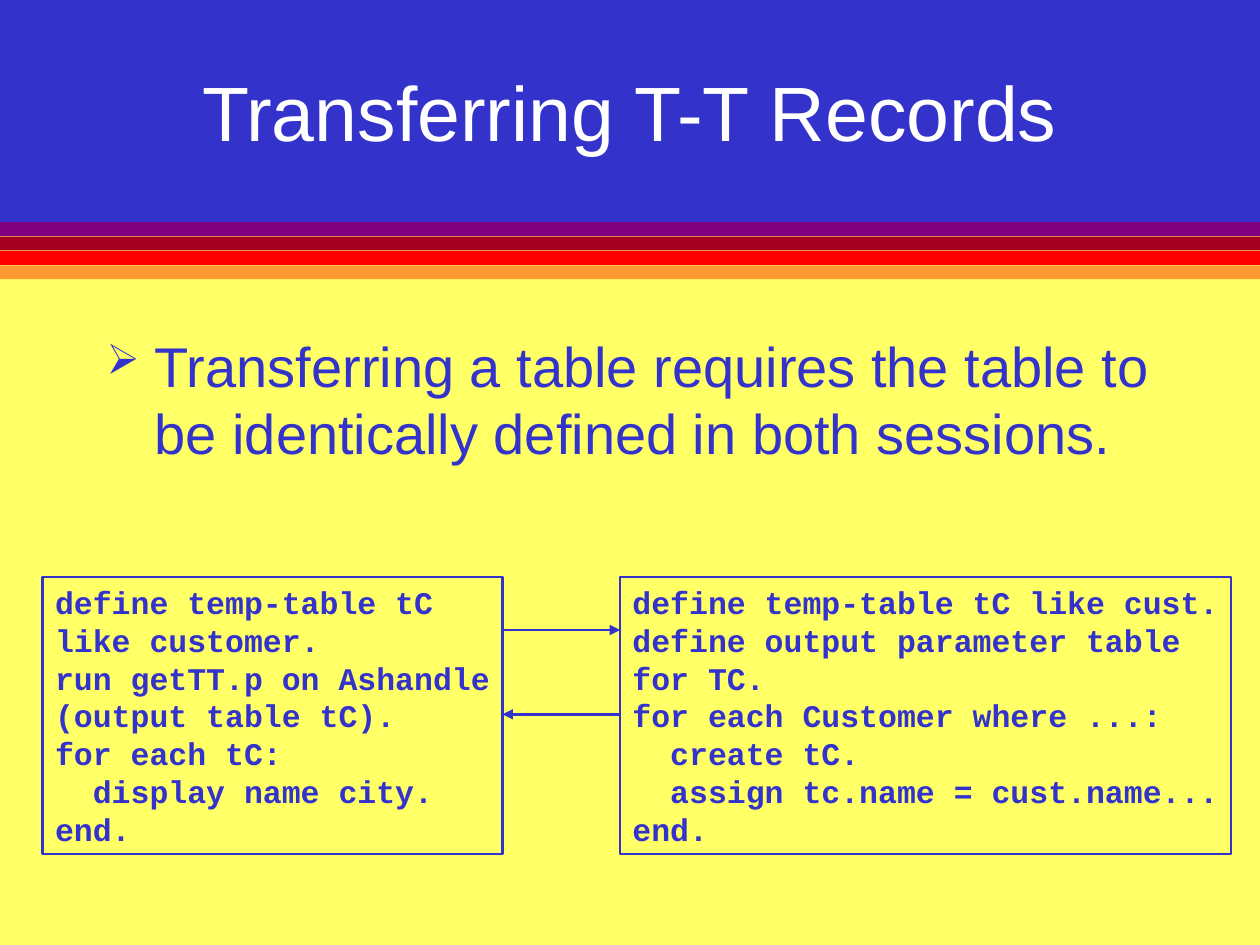
from lxml.etree import SubElement as Sub
from pptx import Presentation
from pptx.dml.color import RGBColor as RGB
from pptx.enum.shapes import MSO_CONNECTOR as Conn, MSO_SHAPE as Shape
from pptx.enum.text import MSO_ANCHOR as Anchor, MSO_AUTO_SIZE as Fit, PP_ALIGN as Align
from pptx.oxml.ns import qn
from pptx.util import Cm, Pt

BLUE = RGB(0x33, 0x33, 0xCC)
YELLOW = RGB(0xFF, 0xFF, 0x66)
ORANGE = RGB(0xFF, 0x99, 0x33)
PURPLE = RGB(0x80, 0x00, 0x80)
MAROON = RGB(0xA5, 0x00, 0x21)
RED = RGB(0xFF, 0x00, 0x00)
WHITE = RGB(0xFF, 0xFF, 0xFF)

# Content
TITLE = "Transferring T-T Records"
POINT = "Transferring a table requires the table to be identically defined in both sessions."
CALLER = [
    "define temp-table tC",
    "like customer.",
    "run getTT.p on Ashandle",
    "(output table tC).",
    "for each tC:",
    "  display name city.",
    "end.",
]
SERVER = [
    "define temp-table tC like cust.",
    "define output parameter table",
    "for TC.",
    "for each Customer where ...:",
    "  create tC.",
    "  assign tc.name = cust.name...",
    "end.",
]

# Layout in centimetres
WIDE, HIGH = 25.4, 19.05
HEAD, BAND = 4.48, 0.28
STRIPES = [PURPLE, MAROON, RED, ORANGE]
BANDS = [(3.81, HIGH - 3.81, YELLOW), (18.19, HIGH - 18.19, YELLOW), (0, HEAD, BLUE)]
BANDS += [(HEAD + i * 0.29, BAND, tint) for i, tint in enumerate(STRIPES)]
CODES = [(0.86, 9.27, CALLER), (12.5, 12.32, SERVER)]
CODE_TOP, CODE_HIGH = 11.63, 5.59
LEFT_END, RIGHT_END = 0.86 + 9.27, 12.5
ARROWS = [(LEFT_END, RIGHT_END, 12.7), (RIGHT_END, LEFT_END, 14.4)]

# Text formats
HEAD_FONT = {"name": "Arial", "size": Pt(44), "bold": False}
BODY_FONT = {"name": "Arial", "size": Pt(32)}
CODE_FONT = {"name": "Courier New", "size": Pt(18), "bold": True}


def write(frame, lines, form, tint, align=Align.LEFT):
    frame.text = "\n".join(lines)
    for para in frame.paragraphs:
        para.alignment = align
        for run in para.runs:
            for key, value in form.items():
                setattr(run.font, key, value)
            run.font.color.rgb = tint


def place(shape, *box):
    for key, value in zip(("left", "top", "width", "height"), box):
        setattr(shape, key, Cm(value))


def block(shapes, *box):
    shape = shapes.add_shape(Shape.RECTANGLE, *map(Cm, box))
    shape.shadow.inherit = False
    return shape


def bullet(para, sign, tint):
    props = para._p.get_or_add_pPr()
    props.set("marL", str(Cm(0.97)))
    props.set("indent", str(-Cm(0.97)))
    Sub(Sub(props, qn("a:buClr")), qn("a:srgbClr"), val=str(tint))
    Sub(props, qn("a:buSzPct"), val="75000")
    Sub(props, qn("a:buChar"), char=sign)


def main():
    deck = Presentation()
    deck.slide_width, deck.slide_height = Cm(WIDE), Cm(HIGH)
    slide = deck.slides.add_slide(deck.slide_layouts[5])
    shapes = slide.shapes

    # Header, stripes and body ground
    for top, high, tint in BANDS:
        band = block(shapes, 0, top, WIDE, high)
        band.fill.solid()
        band.fill.fore_color.rgb = tint
        band.line.fill.background()

    # Title, raised above the bands
    title = shapes.title
    shapes._spTree.append(title._element)
    place(title, 1.9, 0.64, 21.59, 3.18)
    title.fill.solid()
    title.fill.fore_color.rgb = BLUE
    write(title.text_frame, [TITLE], HEAD_FONT, WHITE, Align.CENTER)
    title.text_frame.vertical_anchor = Anchor.MIDDLE
    title.text_frame.auto_size = Fit.NONE

    # Bullet point
    body = shapes.add_textbox(*map(Cm, (1.9, 6.55, 21.59, 11.43))).text_frame
    body.word_wrap = True
    write(body, [POINT], BODY_FONT, BLUE)
    bullet(body.paragraphs[0], "➢", BLUE)

    # Code boxes
    for left, wide, lines in CODES:
        box = block(shapes, left, CODE_TOP, wide, CODE_HIGH)
        box.fill.background()
        box.line.color.rgb = BLUE
        box.line.width = Pt(1.5)
        frame = box.text_frame
        write(frame, lines, CODE_FONT, BLUE)
        frame.vertical_anchor = Anchor.TOP
        frame.word_wrap = False
        frame.auto_size = Fit.SHAPE_TO_FIT_TEXT

    # Call and return arrows
    for start, end, y in ARROWS:
        arrow = shapes.add_connector(Conn.STRAIGHT, Cm(start), Cm(y), Cm(end), Cm(y))
        arrow.line.color.rgb = BLUE
        arrow.line.width = Pt(1.5)
        Sub(arrow.line._get_or_add_ln(), qn("a:tailEnd"), type="triangle")
        Sub(arrow._element.spPr, qn("a:effectLst"))

    deck.save("out.pptx")


if __name__ == "__main__":
    main()
